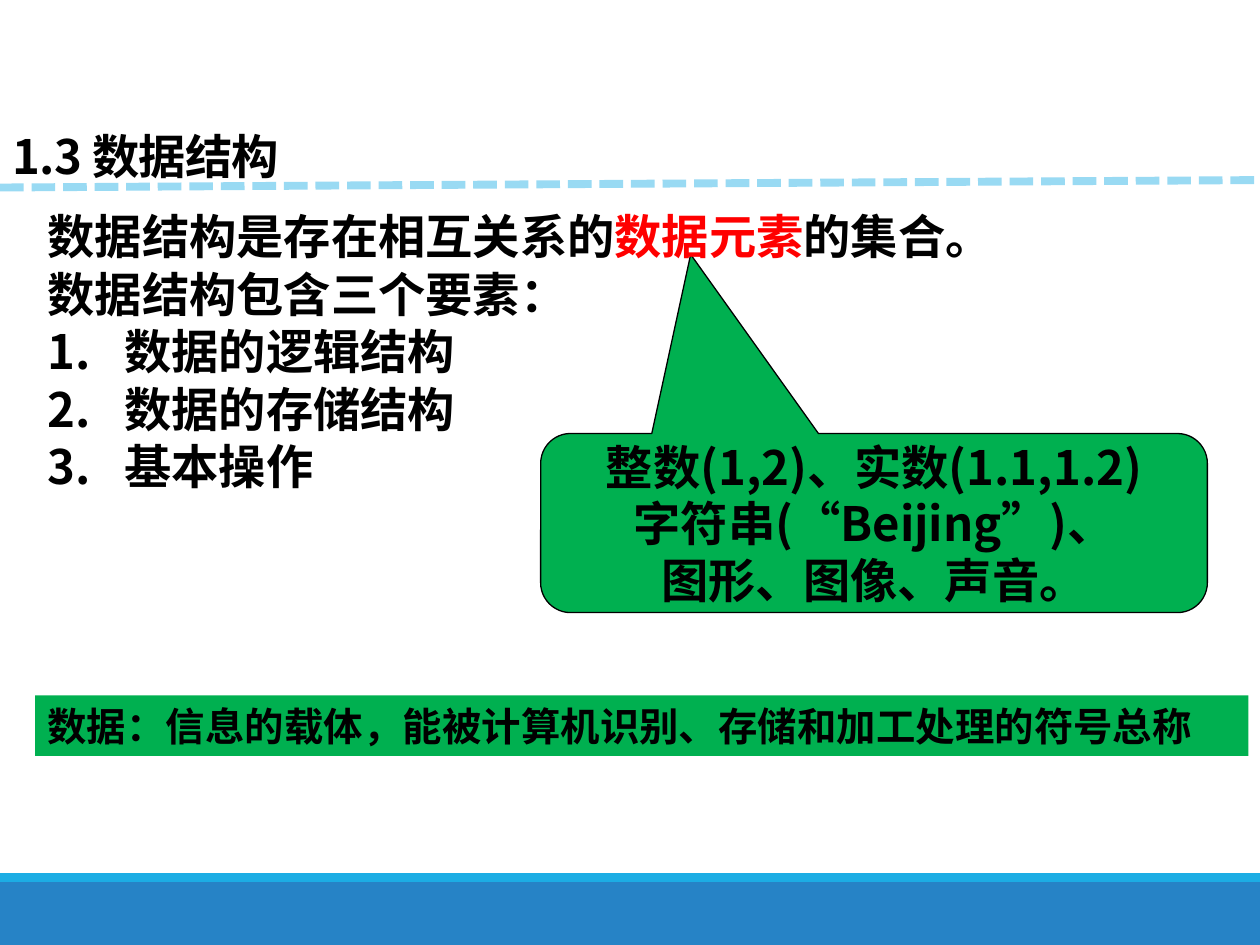
from dataclasses import dataclass

from pptx import Presentation
from pptx import util as u
from pptx.dml.color import RGBColor
from pptx.enum import dml, shapes, text
from pptx.oxml.ns import qn


@dataclass(frozen=True)
class Theme:
    font: str = "Noto Sans CJK SC"
    ink: str = "000000"
    accent: str = "FF0000"
    panel: str = "00B050"
    band: str = "2683C6"
    stripe: str = "1CADE4"
    dash: str = "99DAF3"
    body: float = 27
    note: float = 22.5
    leading: float = 1.2  # line pitch as a multiple of the type size


def set_format(obj, values):
    for name, value in values.items():
        setattr(obj, name, value)


def box(*lengths):
    return [u.Cm(v) for v in lengths]


class SlideBuilder:
    def __init__(self, slide, theme):
        self.s = slide
        self.theme = theme

    def shape(self, kind, at, fill, line=None, adjustments=()):
        sp = self.s.shapes.add_shape(kind, *box(*at))
        sp.shadow.inherit = False
        sp.fill.solid()
        sp.fill.fore_color.rgb = RGBColor.from_string(fill)
        if line:
            sp.line.color.rgb = RGBColor.from_string(line)
            sp.line.width = u.Pt(0.75)
        else:
            sp.line.fill.background()
        for i, value in enumerate(adjustments):
            sp.adjustments[i] = value
        return sp

    def textbox(self, at):
        return self.s.shapes.add_textbox(*box(*at))

    def line(self, start, end, color, width):
        cx = self.s.shapes.add_connector(
            shapes.MSO_CONNECTOR.STRAIGHT, *box(*start, *end))
        cx.line.color.rgb = RGBColor.from_string(color)
        set_format(cx.line, {"width": u.Pt(width),
                             "dash_style": dml.MSO_LINE.SQUARE_DOT})
        sp_pr = cx._element.spPr
        sp_pr.append(sp_pr.makeelement(qn("a:effectLst"), {}))

    def add_text(self, sp, paragraphs, size, frame=None, para=None):
        """Each paragraph is a list of (text, colour) runs."""
        tf = sp.text_frame
        set_format(tf, {"word_wrap": True,
                        "vertical_anchor": text.MSO_ANCHOR.TOP,
                        **(frame or {})})
        for i, runs in enumerate(paragraphs):
            p = tf.add_paragraph() if i else tf.paragraphs[0]
            set_format(p, {"alignment": text.PP_ALIGN.LEFT,
                           "line_spacing": u.Pt(size * self.theme.leading),
                           **(para or {})})
            for words, color in runs:
                r = p.add_run()
                r.text = words
                set_format(r.font, {"name": self.theme.font,
                                    "size": u.Pt(size), "bold": True})
                r.font.color.rgb = RGBColor.from_string(color)
                r_pr = r._r.get_or_add_rPr()
                r_pr.append(r_pr.makeelement(
                    qn("a:ea"), {"typeface": self.theme.font}))
        return tf

    def number(self, p, indent):
        p_pr = p._p.get_or_add_pPr()
        p_pr.set("marL", str(int(u.Cm(indent))))
        p_pr.set("indent", str(-int(u.Cm(indent))))
        p_pr.append(p_pr.makeelement(
            qn("a:buAutoNum"), {"type": "arabicPeriod"}))


def main():
    t = Theme()
    prs = Presentation()
    prs.slide_width, prs.slide_height = box(25.4, 19.05)
    b = SlideBuilder(prs.slides.add_slide(prs.slide_layouts[6]), t)
    kinds = shapes.MSO_SHAPE

    # Footer bands
    b.shape(kinds.RECTANGLE, (0, 17.78, 25.4, 1.27), t.band)
    b.shape(kinds.RECTANGLE, (0, 17.6, 25.4, 0.18), t.stripe)

    # Callout with examples of data elements
    callout = b.shape(kinds.ROUNDED_RECTANGULAR_CALLOUT,
                      (10.9, 8.74, 13.44, 3.61), t.panel, t.ink,
                      (-0.275, -1.5, 0.167))
    examples = ["整数(1,2)、实数(1.1,1.2)", "字符串(“Beijing”)、", "图形、图像、声音。"]
    b.add_text(callout, [[(line, t.ink)] for line in examples], t.body,
               {"word_wrap": False, "vertical_anchor": text.MSO_ANCHOR.MIDDLE},
               {"alignment": text.PP_ALIGN.CENTER})

    # Definition bar
    bar = b.shape(kinds.RECTANGLE, (0.71, 14.02, 24.46, 1.22), t.panel)
    b.add_text(bar, [[("数据：信息的载体，能被计算机识别、存储和加工处理的符号总称", t.ink)]],
               t.note)

    # Title and dashed rule
    title = b.add_text(b.textbox((0, 2.39, 25.4, 1.45)),
                       [[("1.3 数据结构", t.ink)]], t.body,
                       {"vertical_anchor": text.MSO_ANCHOR.BOTTOM},
                       {"line_spacing": 0.85})
    title.paragraphs[0].runs[0]._r.get_or_add_rPr().set("spc", "-40")
    b.line((0, 3.78), (25.4, 3.63), t.dash, 4.5)

    # Body: definition and numbered elements
    intro = [("数据结构是存在相互关系的", t.ink), ("数据元素", t.accent),
             ("的集合。", t.ink)]
    rest = ["数据结构包含三个要素：", "数据的逻辑结构", "数据的存储结构", "基本操作"]
    body = b.add_text(b.textbox((0.71, 4.06, 19.2, 6.02)),
                      [intro] + [[(line, t.ink)] for line in rest], t.body,
                      para={"space_before": u.Pt(0.4)})
    for p in body.paragraphs[2:]:
        b.number(p, 1.55)

    prs.save("out.pptx")


if __name__ == "__main__":
    main()
